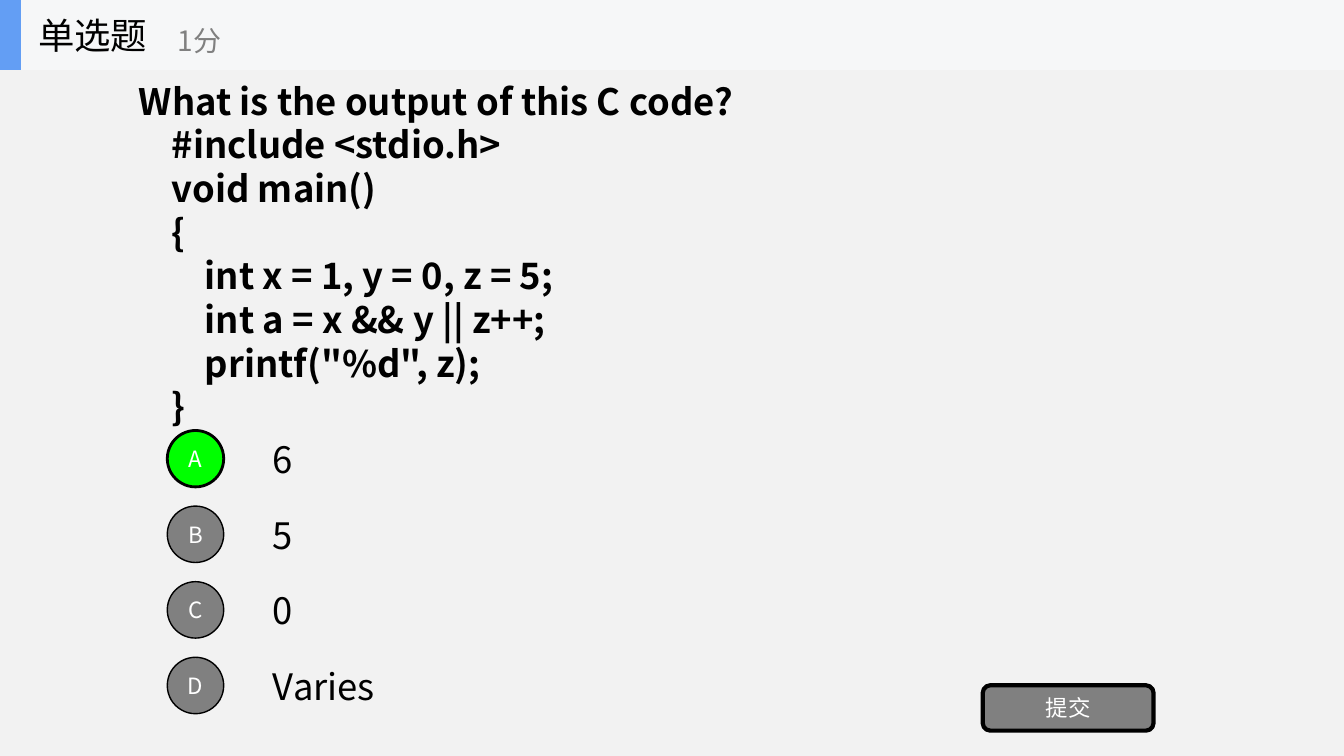
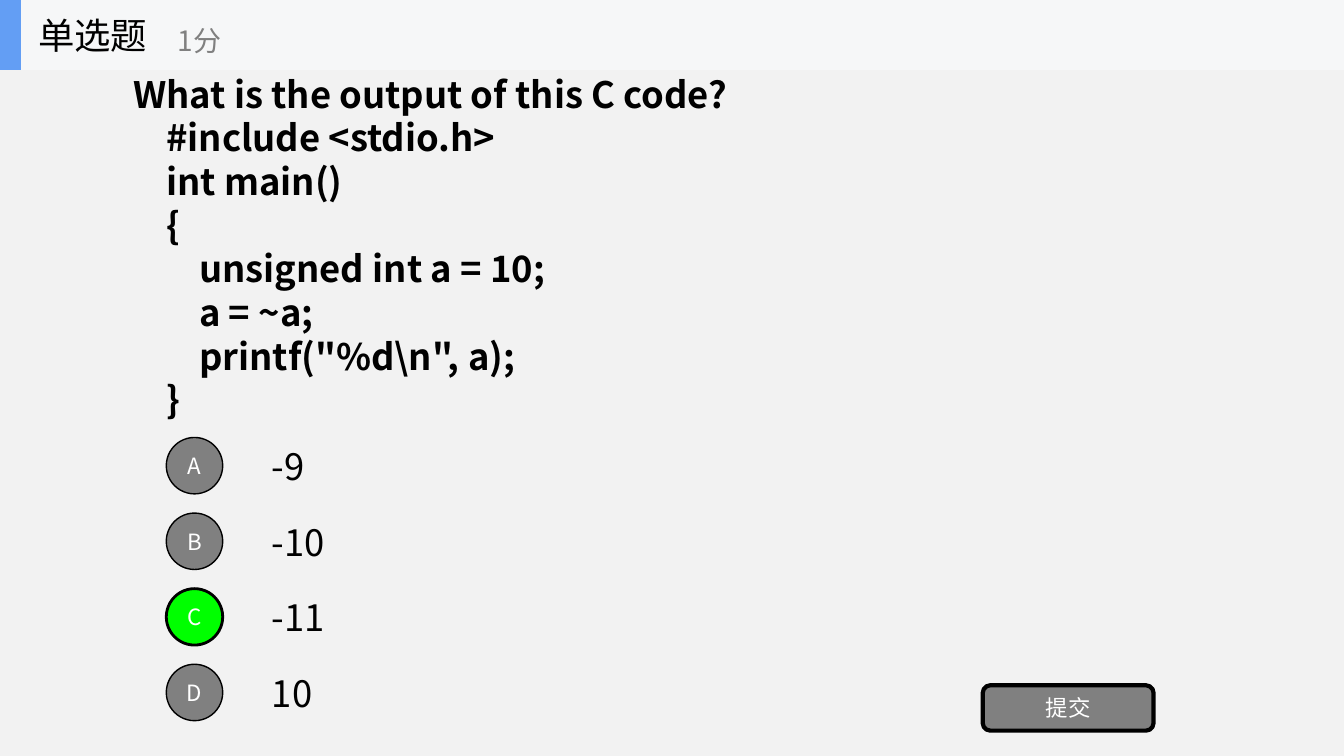
from pptx import Presentation
from pptx.dml.color import RGBColor
from pptx.enum.shapes import MSO_SHAPE
from pptx.enum.text import MSO_ANCHOR, MSO_AUTO_SIZE, PP_ALIGN
from pptx.oxml.ns import qn
from pptx.util import Pt
from lxml import etree

RECT, OVAL, ROUNDED = MSO_SHAPE.RECTANGLE, MSO_SHAPE.OVAL, MSO_SHAPE.ROUNDED_RECTANGLE
LEFT, CENTER = PP_ALIGN.LEFT, PP_ALIGN.CENTER
MIDDLE, NO_FIT = MSO_ANCHOR.MIDDLE, MSO_AUTO_SIZE.NONE

FONT = "Noto Sans CJK SC"
COLORS = {
    "page": "F2F2F2",
    "band": "F6F7F8",
    "accent": "639EF4",
    "text": "000000",
    "grey": "808080",
    "correct": "00FF00",
    "white": "FFFFFF",
}
TITLE_ONLY = 5
WIDTH, HEIGHT, BAND_HEIGHT = 960, 540, 50
CODE_WIDTH, CODE_HEIGHT, CODE_PITCH = 707, 259, 31.2
BADGE, OPTION_PITCH = 40.3, 54
ANSWER_DX, ANSWER_DY, ANSWER_HEIGHT = 68.4, 1, 39

QUESTIONS = [
    {
        "code_at": (92, 51.5),
        "code": """What is the output of this C code?
    #include <stdio.h>
    void main()
    {
        int x = 1, y = 0, z = 5;
        int a = x && y || z++;
        printf("%d", z);
    }""",
        "options_at": (119.5, 307.5),
        "answers": ["6", "5", "0", "Varies"],
        "correct": "A",
    },
    {
        "code_at": (88, 46.5),
        "code": r"""What is the output of this C code?
    #include <stdio.h>
    int main()
    {
        unsigned int a = 10;
        a = ~a;
        printf("%d\n", a);
    }""",
        "options_at": (118.8, 312.5),
        "answers": ["-9", "-10", "-11", "10"],
        "correct": "C",
    },
]


def color(name):
    return RGBColor.from_string(COLORS[name])


def write(shape, text, size, ink="text", align=LEFT, bold=False, pitch=None, inset=7.2):
    """Fill a shape with one paragraph for each line of text."""
    frame = shape.text_frame
    frame.word_wrap = True
    frame.auto_size = NO_FIT
    frame.vertical_anchor = MIDDLE
    frame.margin_left = frame.margin_right = Pt(inset)
    frame.margin_top = frame.margin_bottom = 0
    for number, line in enumerate(text.split("\n")):
        paragraph = frame.add_paragraph() if number else frame.paragraphs[0]
        paragraph.alignment = align
        paragraph.space_before = Pt(0)
        if pitch:
            paragraph.line_spacing = Pt(pitch)
        run = paragraph.add_run()
        run.text = line
        font = run.font
        font.size, font.bold, font.name = Pt(size), bold, FONT
        font.color.rgb = color(ink)
        # East Asian characters take their own font entry
        east_asian = etree.Element(qn("a:ea"), typeface=FONT)
        run._r.rPr.find(qn("a:latin")).addnext(east_asian)


def add_text(slide, left, top, width, height, text, size, **style):
    box = slide.shapes.add_textbox(Pt(left), Pt(top), Pt(width), Pt(height))
    write(box, text, size, **style)


def add_block(slide, kind, left, top, width, height, fill, border=0):
    block = slide.shapes.add_shape(kind, Pt(left), Pt(top), Pt(width), Pt(height))
    block.shadow.inherit = False
    block.fill.solid()
    block.fill.fore_color.rgb = color(fill)
    if border:
        block.line.color.rgb = color("text")
        block.line.width = Pt(border)
    else:
        block.line.fill.background()
    return block


def add_label(slide, kind, left, top, width, height, text, fill, border):
    label = add_block(slide, kind, left, top, width, height, fill, border)
    write(label, text, 16, ink="white", align=CENTER, inset=0)


def add_header(slide):
    add_block(slide, RECT, 0, 0, WIDTH, BAND_HEIGHT, "band")
    add_block(slide, RECT, 0, 0, 15, BAND_HEIGHT, "accent")
    title = slide.shapes.title
    title.left, title.top, title.width, title.height = Pt(20), Pt(0), Pt(100), Pt(BAND_HEIGHT)
    write(title, "单选题", 26)
    # Bring the title in front of the band
    slide.shapes._spTree.append(title._element)
    add_text(slide, 120, 8.5, 180, 40, "1分", 20, ink="grey")


def add_options(slide, left, top, answers, correct):
    for row, (letter, answer) in enumerate(zip("ABCD", answers)):
        y = top + row * OPTION_PITCH
        fill, border = ("correct", 2) if letter == correct else ("grey", 1)
        add_label(slide, OVAL, left, y, BADGE, BADGE, letter, fill, border)
        add_text(slide, left + ANSWER_DX, y + ANSWER_DY, 100, ANSWER_HEIGHT, answer, 26)


def add_question(prs, question):
    slide = prs.slides.add_slide(prs.slide_layouts[TITLE_ONLY])
    add_header(slide)
    # Question and code
    add_text(slide, *question["code_at"], CODE_WIDTH, CODE_HEIGHT, question["code"], 26,
             bold=True, pitch=CODE_PITCH)
    # Answers and submit button
    add_options(slide, *question["options_at"], question["answers"], question["correct"])
    add_label(slide, ROUNDED, 702, 489.5, 122, 32.4, "提交", "grey", 3)


def main():
    prs = Presentation()
    prs.slide_width, prs.slide_height = Pt(WIDTH), Pt(HEIGHT)
    page = prs.slide_master.background.fill
    page.solid()
    page.fore_color.rgb = color("page")
    for question in QUESTIONS:
        add_question(prs, question)
    prs.save("out.pptx")


if __name__ == "__main__":
    main()
